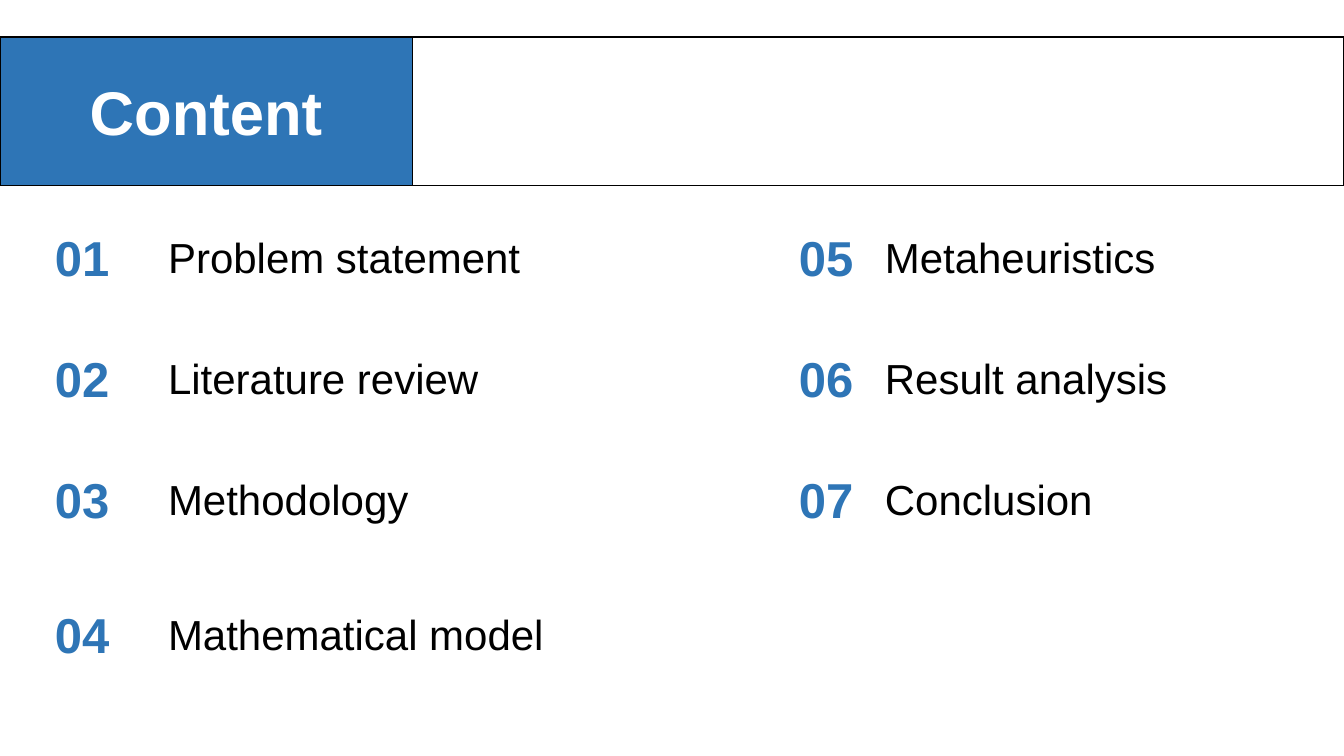
from dataclasses import dataclass

from pptx import Presentation
from pptx.dml.color import RGBColor
from pptx.enum.shapes import MSO_SHAPE
from pptx.enum.text import MSO_ANCHOR, MSO_AUTO_SIZE, PP_ALIGN
from pptx.util import Pt


@dataclass(frozen=True)
class Theme:
    font: str = "Arial"
    blue: RGBColor = RGBColor(0x2E, 0x75, 0xB6)
    black: RGBColor = RGBColor(0, 0, 0)
    white: RGBColor = RGBColor(255, 255, 255)
    title_size: int = 44
    number_size: int = 35
    topic_size: int = 30
    line_width: int = 1


class AgendaSlide:
    def __init__(self, prs, theme):
        self.theme = theme
        self.slide = prs.slides.add_slide(prs.slide_layouts[5])

    def place(self, sp, left, top, width, height):
        sp.left, sp.top, sp.width, sp.height = map(Pt, (left, top, width, height))

    def outline(self, sp):
        sp.line.color.rgb = self.theme.black
        sp.line.width = Pt(self.theme.line_width)

    def set_text(self, sp, text, size, color, bold, align, anchor):
        tf = sp.text_frame
        tf.text = text
        tf.word_wrap = True
        tf.auto_size = MSO_AUTO_SIZE.NONE
        tf.vertical_anchor = anchor
        p = tf.paragraphs[0]
        p.alignment = align
        font = p.runs[0].font
        font.name = self.theme.font
        font.size = Pt(size)
        font.bold = bold
        font.color.rgb = color

    def title(self, text, *box):
        sp = self.slide.shapes.title
        self.place(sp, *box)
        sp.fill.solid()
        sp.fill.fore_color.rgb = self.theme.blue
        self.outline(sp)
        self.set_text(sp, text, self.theme.title_size, self.theme.white, True,
                      PP_ALIGN.CENTER, MSO_ANCHOR.MIDDLE)

    def frame(self, *box):
        sp = self.slide.shapes.add_shape(MSO_SHAPE.RECTANGLE, *map(Pt, box))
        sp.shadow.inherit = False
        sp.fill.background()
        self.outline(sp)

    def number(self, text, *box):
        sp = self.slide.shapes.add_textbox(*map(Pt, box))
        self.set_text(sp, text, self.theme.number_size, self.theme.blue, True,
                      PP_ALIGN.CENTER, MSO_ANCHOR.MIDDLE)

    def topic(self, text, *box):
        sp = self.slide.shapes.add_textbox(*map(Pt, box))
        self.set_text(sp, text, self.theme.topic_size, self.theme.black, False,
                      PP_ALIGN.LEFT, MSO_ANCHOR.TOP)
        sp.text_frame.auto_size = MSO_AUTO_SIZE.SHAPE_TO_FIT_TEXT


def main():
    slide_width, slide_height = 960, 540
    band_top, band_height, title_width = 26.5, 106, 294.5
    row_tops = (154.8, 241.2, 327.6, 424)
    columns = (
        (23, 113, ("Problem statement", "Literature review",
                   "Methodology", "Mathematical model")),
        (554.5, 625, ("Metaheuristics", "Result analysis", "Conclusion")),
    )

    prs = Presentation()
    prs.slide_width, prs.slide_height = Pt(slide_width), Pt(slide_height)
    s = AgendaSlide(prs, Theme())
    s.title("Content", 0, band_top, title_width, band_height)
    s.frame(title_width, band_top, slide_width - title_width, band_height)

    count = 0
    for number_left, topic_left, topics in columns:
        for top, topic in zip(row_tops, topics):
            count += 1
            s.number(f"{count:02}", number_left, top, 71.3, 57.6)
            s.topic(topic, topic_left, top + 7, 312.5, 44)

    prs.save("out.pptx")


if __name__ == "__main__":
    main()
